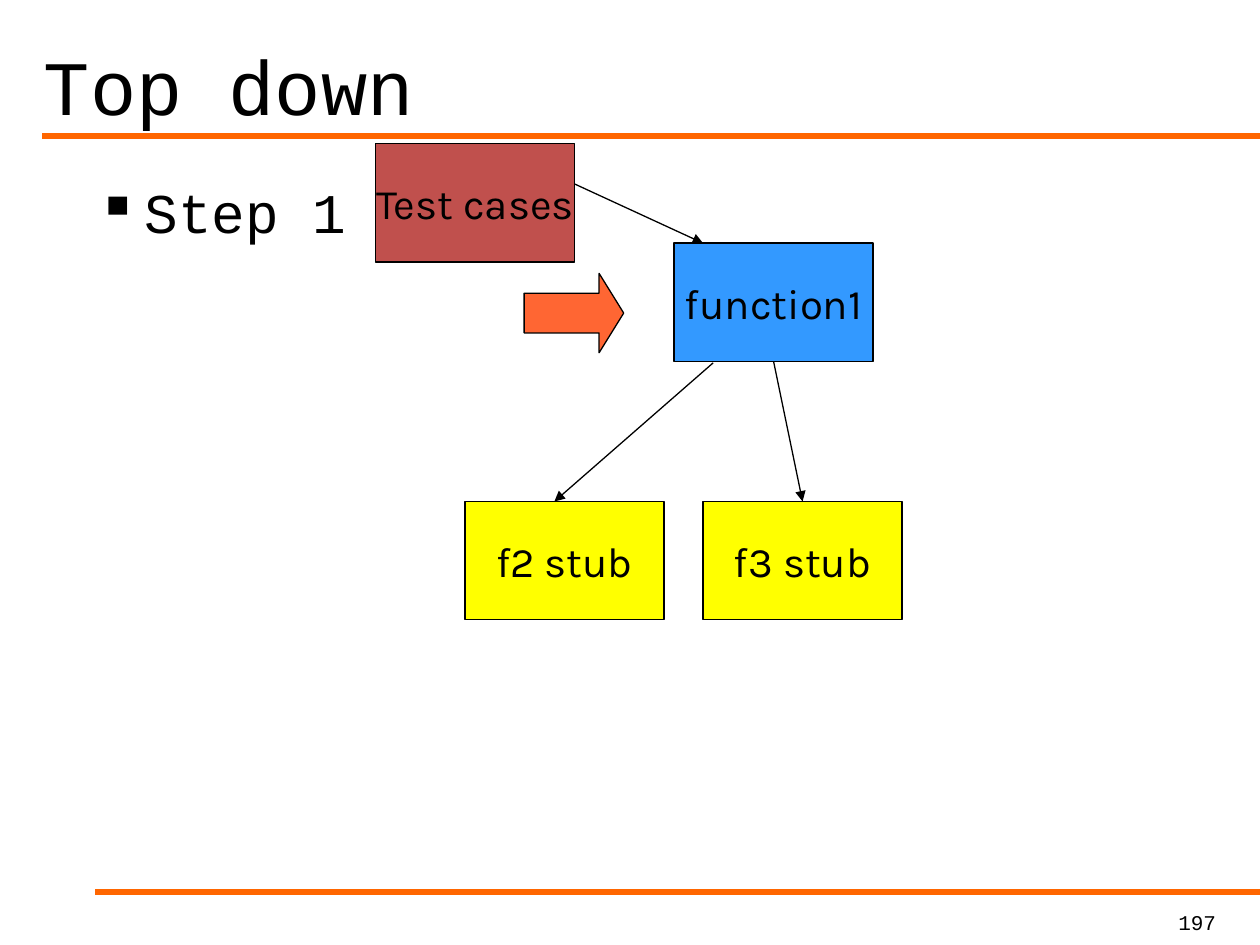
"""Build the first step of a top-down testing slide."""
from lxml import etree
from pptx import Presentation
from pptx.dml.color import RGBColor
from pptx.enum.shapes import MSO_CONNECTOR, MSO_SHAPE
from pptx.enum.text import MSO_ANCHOR, PP_ALIGN
from pptx.oxml.ns import qn
from pptx.util import Inches, Pt

STRAIGHT = MSO_CONNECTOR.STRAIGHT
RECTANGLE, RIGHT_ARROW = MSO_SHAPE.RECTANGLE, MSO_SHAPE.RIGHT_ARROW
TOP, MIDDLE = MSO_ANCHOR.TOP, MSO_ANCHOR.MIDDLE
LEFT, CENTER, RIGHT = PP_ALIGN.LEFT, PP_ALIGN.CENTER, PP_ALIGN.RIGHT
BLACK, ORANGE = "000000", "FF6600"
BOX_WIDTH, BOX_HEIGHT = 1.58, 0.94


def color(hex_string):
    return RGBColor.from_string(hex_string)


def write(shape, text, size, font="Courier New", align=LEFT, anchor=TOP, wrap=True):
    frame = shape.text_frame
    frame.word_wrap = wrap
    frame.vertical_anchor = anchor
    paragraph = frame.paragraphs[0]
    paragraph.alignment = align
    run = paragraph.add_run()
    run.text = text
    run.font.size = Pt(size)
    run.font.name = font
    run.font.color.rgb = color(BLACK)
    return paragraph


presentation = Presentation()
presentation.slide_width, presentation.slide_height = Inches(10), Inches(7.5)
slide = presentation.slides.add_slide(presentation.slide_layouts[6])
shapes = slide.shapes

title = shapes.add_textbox(Inches(0.25), Inches(0.17), Inches(9.42), Inches(1))
write(title, "Top down", 44, anchor=MIDDLE)

body = shapes.add_textbox(Inches(0.67), Inches(1.42), Inches(5.59), Inches(5.25))
step = write(body, "Step 1", 32)
step.line_spacing = 0.9
properties = step._p.get_or_add_pPr()
properties.set("marL", str(Inches(0.38)))
properties.set("indent", str(Inches(-0.38)))
etree.SubElement(properties, qn("a:buChar"), char="▪")

page_number = shapes.add_textbox(Inches(8.25), Inches(7.17), Inches(1.5), Inches(0.33))
write(page_number, "197", 12, align=RIGHT)

boxes = {}
for kind, label, left, top, width, height, fill in (
    (RECTANGLE, "function1", 5.35, 1.93, BOX_WIDTH, BOX_HEIGHT, "3399FF"),
    (RECTANGLE, "f2 stub", 3.69, 3.98, BOX_WIDTH, BOX_HEIGHT, "FFFF00"),
    (RECTANGLE, "f3 stub", 5.58, 3.98, BOX_WIDTH, BOX_HEIGHT, "FFFF00"),
    (RIGHT_ARROW, "", 4.16, 2.17, 0.79, 0.63, "FF6633"),
    (RECTANGLE, "Test cases", 2.98, 1.14, BOX_WIDTH, BOX_HEIGHT, "C0504D"),
):
    shape = shapes.add_shape(kind, Inches(left), Inches(top), Inches(width), Inches(height))
    shape.shadow.inherit = False
    shape.fill.solid()
    shape.fill.fore_color.rgb = color(fill)
    shape.line.color.rgb = color(BLACK)
    shape.line.width = Pt(0.75)
    if label:
        write(shape, label, 24, font="Karla", align=CENTER, anchor=MIDDLE, wrap=False)
        boxes[label] = shape
    else:
        shape.adjustments[1] = 0.31

connectors = []
for start_x, start_y, end_x, end_y, line_color, weight, arrow in (
    (10, 1.08, 0.33, 1.08, ORANGE, 3, False),
    (10, 7.08, 0.75, 7.08, ORANGE, 3, False),
    (4.56, 1.46, 5.58, 1.93, BLACK, 0.75, True),
    (5.66, 2.88, 4.4, 3.98, BLACK, 0.75, True),
    (6.13, 2.88, 6.37, 3.98, BLACK, 0.75, True),
):
    connector = shapes.add_connector(
        STRAIGHT, Inches(start_x), Inches(start_y), Inches(end_x), Inches(end_y)
    )
    connector.line.color.rgb = color(line_color)
    connector.line.width = Pt(weight)
    if arrow:
        etree.SubElement(connector.line._get_or_add_ln(), qn("a:tailEnd"), type="triangle")
    etree.SubElement(connector._element.spPr, qn("a:effectLst"))
    connectors.append(connector)

connectors[-1].begin_connect(boxes["function1"], 2)
connectors[-1].end_connect(boxes["f3 stub"], 0)

presentation.save("out.pptx")
